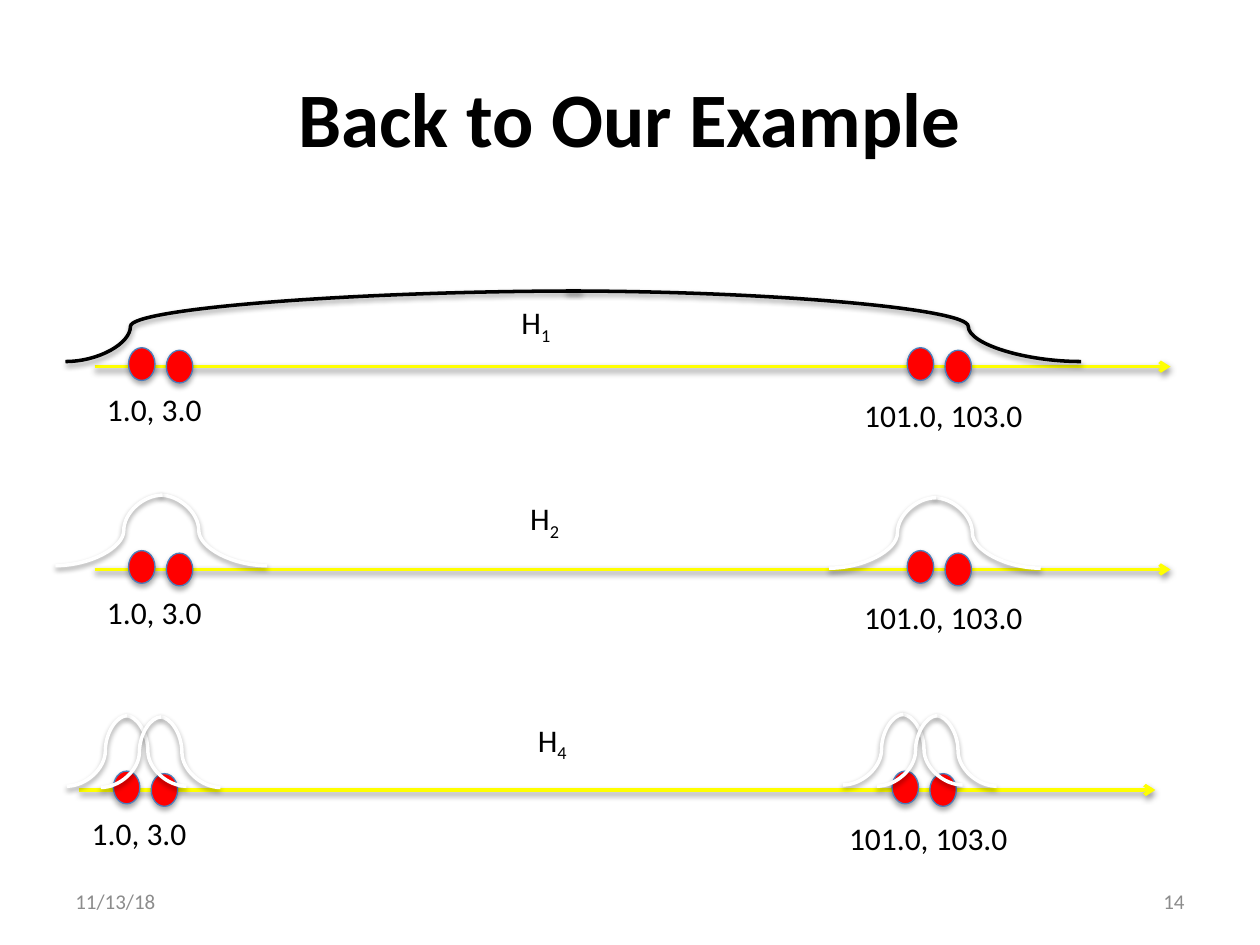
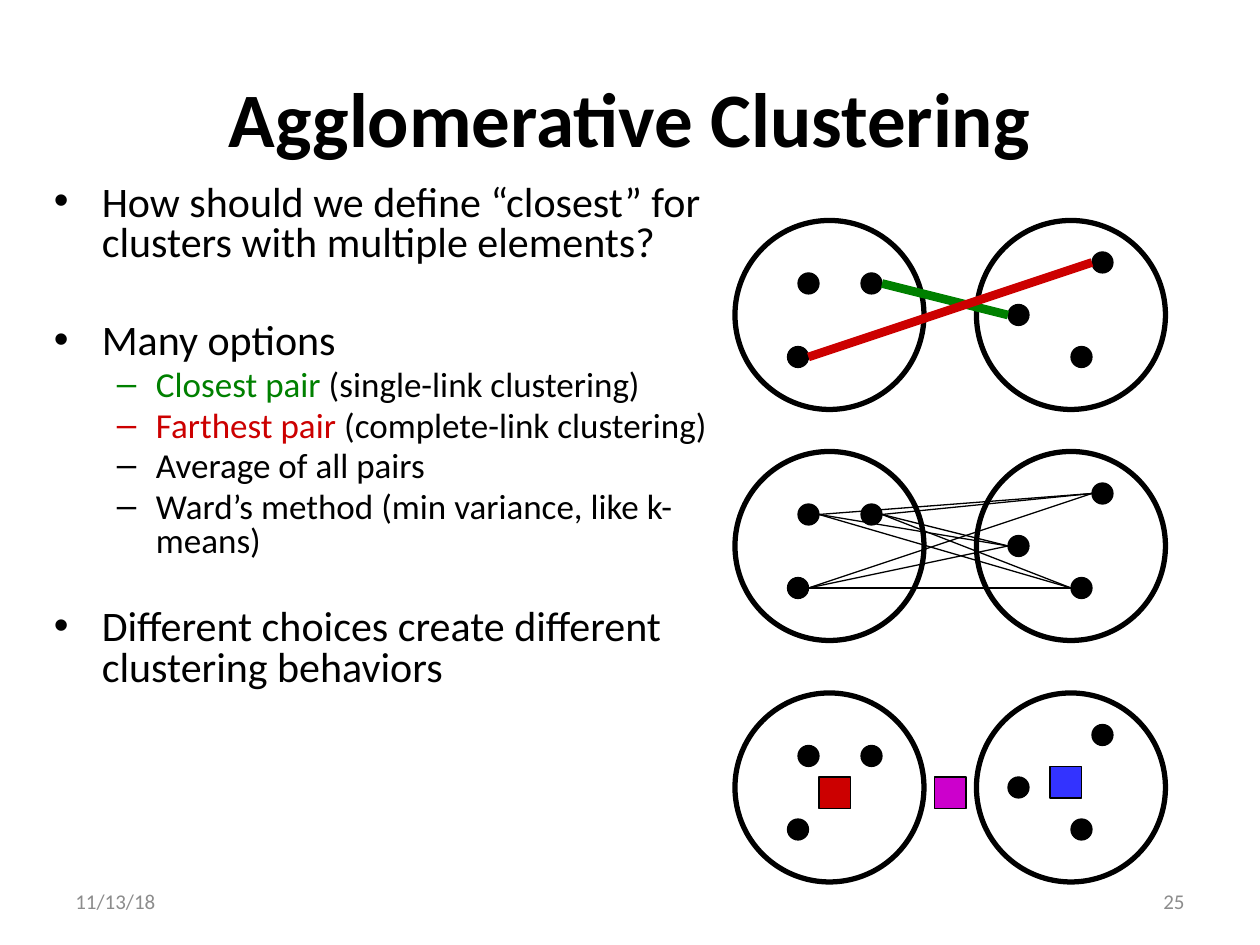
from itertools import product
from lxml.etree import SubElement
from pptx import Presentation
from pptx.dml.color import RGBColor
from pptx.enum.shapes import MSO_CONNECTOR, MSO_SHAPE
from pptx.enum.text import MSO_ANCHOR, PP_ALIGN
from pptx.oxml.ns import qn
from pptx.util import Inches, Pt

BLACK = RGBColor(0, 0, 0)
WHITE = RGBColor(255, 255, 255)
GRAY = RGBColor(0x8C, 0x8C, 0x8C)
YELLOW = RGBColor(255, 255, 0)
RED = RGBColor(255, 0, 0)
STEEL = RGBColor(0x4B, 0x7E, 0xBC)
GREEN = RGBColor(0, 0x80, 0)
CRIMSON = RGBColor(0xCC, 0, 0)
BLUE = RGBColor(0x33, 0x33, 0xFF)
PURPLE = RGBColor(0xCC, 0, 0xCC)

FONT = "Calibri"
WIDE, HIGH = 10, 7.5
UNIT = 1 / 12
DATE = "11/13/18"

AXES = [(0.75, 2.91), (0.75, 4.52), (0.63, 6.27)]
LENGTH = 8.54
POINTS = [(0.27, -0.15), (0.57, -0.13), (6.45, -0.15), (6.75, -0.13)]
LABELS = [("1.0, 3.0", 0, 0.14, 0.96), ("101.0, 103.0", 6.01, 0.18, 1.47)]
NAMES = [("1", 4.04, 2.36), ("2", 4.11, 3.91), ("4", 4.17, 5.67)]
BROAD = (4.09, 0.12, 0.781, 0.874, BLACK)
MEDIUM = (0.85, 0.02, 0.362, 0.362, WHITE)
NARROW = (0.48, 0.01, 0.362, 0.362, WHITE)
BELLS = [
    (1.27, 3.93, MEDIUM), (7.41, 3.95, MEDIUM), (4.49, 2.31, BROAD),
    (1.0, 5.68, NARROW), (1.27, 5.69, NARROW),
    (7.16, 5.67, NARROW), (7.43, 5.68, NARROW),
]
BELL_HIGH = 0.56

BULLETS = [
    (0, 4.8, [("How should we define “closest” for clusters with multiple elements?", BLACK)]),
    (0, 33, [("Many options", BLACK)]),
    (1, 4, [("Closest pair", GREEN), (" (single-link clustering)", BLACK)]),
    (1, 4, [("Farthest pair", CRIMSON), (" (complete-link clustering)", BLACK)]),
    (1, 4, [("Average of all pairs", BLACK)]),
    (1, 4, [("Ward’s method (min variance, like k-means)", BLACK)]),
    (0, 28.3, [("Different choices create different clustering behaviors", BLACK)]),
]
LEVELS = [("•", 24, 0.38, 0.38), ("–", 20, 0.81, 0.31)]

LEFT, RIGHT = 70, 93
LEFT_DOTS = [(76, 5), (75, 12), (82, 5)]
RIGHT_DOTS = [(96, 8), (102, 12), (104, 3)]
PAIRS = [(a, b, BLACK, 0.75) for a, b in product(range(3), range(3))]
PANELS = [
    (21, [(2, 0, GREEN, 5), (1, 2, CRIMSON, 5)], []),
    (43, PAIRS, []),
    (66, [], [(78, 8, CRIMSON), (100, 7, BLUE), (89, 8, PURPLE)]),
]


def shade(item, alpha, dist):
    props = item.element.spPr
    effects = props.find(qn("a:effectLst"))
    if effects is None:
        effects = SubElement(props, qn("a:effectLst"))
    if alpha:
        drop = SubElement(effects, qn("a:outerShdw"), blurRad="40000", dist=str(dist),
                          dir="5400000", rotWithShape="0")
        tint = SubElement(drop, qn("a:srgbClr"), val="000000")
        SubElement(tint, qn("a:alpha"), val=str(alpha * 1000))


def add_form(slide, kind, x, y, w, h, fill, edge, width):
    form = slide.shapes.add_shape(kind, Inches(x), Inches(y), Inches(w), Inches(h))
    form.shadow.inherit = False
    if fill is None:
        form.fill.background()
    else:
        form.fill.solid()
        form.fill.fore_color.rgb = fill
    form.line.color.rgb = edge
    form.line.width = Pt(width)
    return form


def add_line(slide, start, end, color, width, bend=None, arrow=False, shadow=False):
    kind = MSO_CONNECTOR.STRAIGHT if bend is None else MSO_CONNECTOR.CURVE
    line = slide.shapes.add_connector(kind, *[Inches(v) for v in (*start, *end)])
    line.line.color.rgb = color
    line.line.width = Pt(width)
    props = line.element.spPr
    if bend is not None:
        guides = next(props.iter(qn("a:avLst")))
        SubElement(guides, qn("a:gd"), name="adj1", fmla=f"val {round(bend * 100000)}")
    if arrow:
        SubElement(props.find(qn("a:ln")), qn("a:tailEnd"), type="arrow")
    shade(line, 38 if shadow else 0, 20000)


def add_run(para, text, size, color, bold=False):
    run = para.add_run()
    run.text = text
    font = run.font
    font.name, font.size, font.bold = FONT, Pt(size), bold
    font.color.rgb = color
    return run


def add_box(slide, x, y, w, h, wrap=True, anchor=MSO_ANCHOR.TOP):
    frame = slide.shapes.add_textbox(Inches(x), Inches(y), Inches(w), Inches(h)).text_frame
    frame.word_wrap = wrap
    frame.vertical_anchor = anchor
    return frame


def add_page(deck, title, number):
    slide = deck.slides.add_slide(deck.slide_layouts[6])
    parts = [
        (title, (0.5, 0.3, 9, 1.25), PP_ALIGN.CENTER, 44, BLACK, True),
        (DATE, (0.5, 6.95, 2.33, 0.4), PP_ALIGN.LEFT, 12, GRAY, False),
        (number, (7.17, 6.95, 2.33, 0.4), PP_ALIGN.RIGHT, 12, GRAY, False),
    ]
    for text, place, align, size, color, bold in parts:
        para = add_box(slide, *place, anchor=MSO_ANCHOR.MIDDLE).paragraphs[0]
        para.alignment = align
        add_run(para, text, size, color, bold)
    return slide


def add_axis(slide, x, y):
    add_line(slide, (x, y), (x + LENGTH, y), YELLOW, 2, arrow=True, shadow=True)
    for dx, dy in POINTS:
        dot = add_form(slide, MSO_SHAPE.OVAL, x + dx, y + dy, 0.21, 0.26, RED, STEEL, 0.75)
        shade(dot, 35, 23000)
    for text, dx, dy, w in LABELS:
        add_run(add_box(slide, x + dx, y + dy, w, 0.4, False).paragraphs[0], text, 18, BLACK)


def add_bell(slide, x, y, form):
    reach, lap, right, left, color = form
    low = y + BELL_HIGH
    add_line(slide, (x, y), (x + reach, low), color, 2, right, shadow=True)
    add_line(slide, (x + lap, y), (x + lap - reach, low), color, 2, left, shadow=True)


def add_bullets(slide):
    frame = add_box(slide, 0.33, 1.42, 5.5, 5.42)
    for i, (level, gap, runs) in enumerate(BULLETS):
        para = frame.add_paragraph() if i else frame.paragraphs[0]
        mark, size, indent, hang = LEVELS[level]
        para.level = level
        para.line_spacing = 0.8
        para.space_before = Pt(gap)
        props = para._p.get_or_add_pPr()
        props.set("marL", str(Inches(indent)))
        props.set("indent", str(-Inches(hang)))
        SubElement(props, qn("a:buFont"), typeface="Arial")
        SubElement(props, qn("a:buChar"), char=mark)
        for text, color in runs:
            add_run(para, text, size, color)


def add_panel(slide, top, links, marks):
    def put(kind, x, y, size, fill, width):
        add_form(slide, kind, x * UNIT, y * UNIT, size * UNIT, size * UNIT, fill, BLACK, width)

    for x in (RIGHT, LEFT):
        put(MSO_SHAPE.OVAL, x, top, 18, None, 3)
    for x, y in LEFT_DOTS + RIGHT_DOTS:
        put(MSO_SHAPE.OVAL, x, top + y, 2, BLACK, 0.75)
    for a, b, color, width in links:
        (ax, ay), (bx, by) = LEFT_DOTS[a], RIGHT_DOTS[b]
        start = ((ax + 2) * UNIT, (top + ay + 1) * UNIT)
        end = (bx * UNIT, (top + by + 1) * UNIT)
        add_line(slide, start, end, color, width)
    for x, y, color in marks:
        put(MSO_SHAPE.RECTANGLE, x, top + y, 3, color, 0.75)


def main():
    deck = Presentation()
    deck.slide_width, deck.slide_height = Inches(WIDE), Inches(HIGH)

    slide = add_page(deck, "Back to Our Example", "14")
    for axis in AXES:
        add_axis(slide, *axis)
    for bell in BELLS:
        add_bell(slide, *bell)
    for digit, x, y in NAMES:
        para = add_box(slide, x, y, 0.44, 0.4, False).paragraphs[0]
        add_run(para, "H", 18, BLACK)
        sub = add_run(para, digit, 18, BLACK)
        sub.font._element.set("baseline", "-25000")

    slide = add_page(deck, "Agglomerative Clustering", "25")
    add_bullets(slide)
    for panel in PANELS:
        add_panel(slide, *panel)

    deck.save("out.pptx")


if __name__ == "__main__":
    main()
